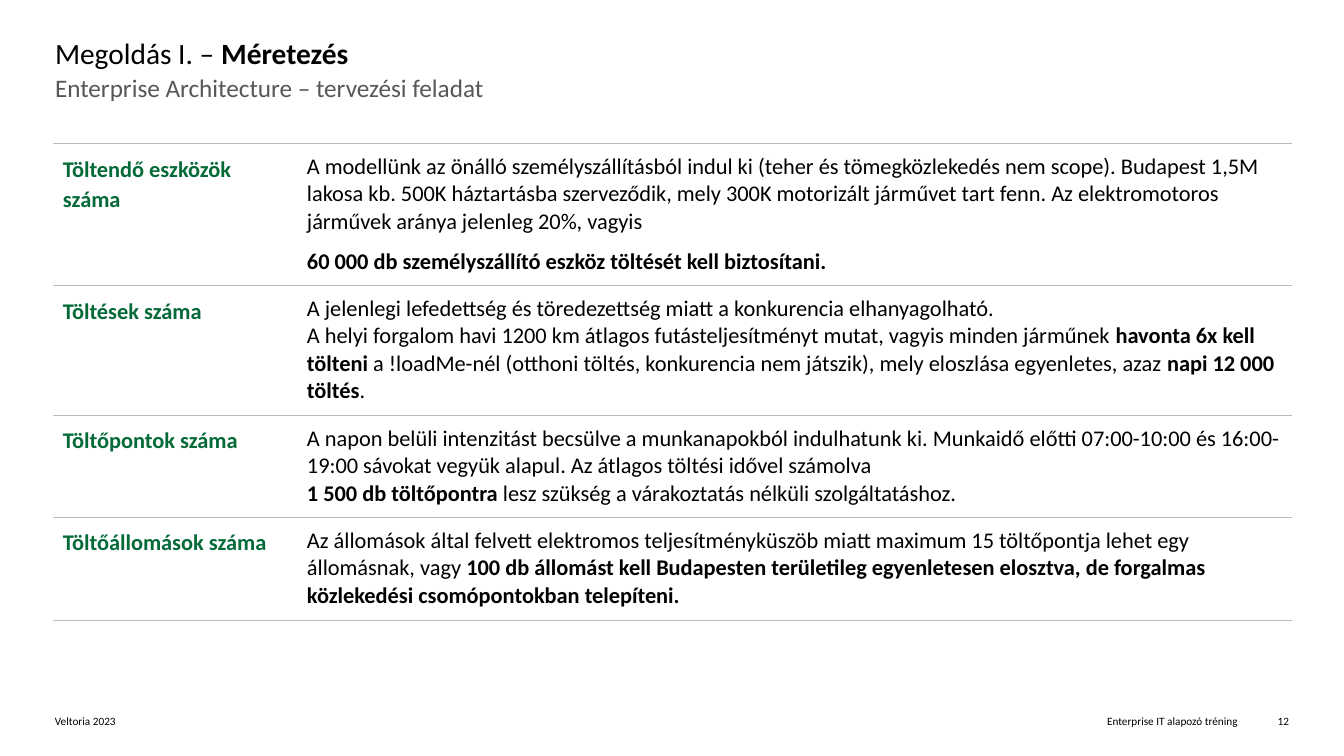
from lxml import etree
from pptx import Presentation
from pptx.dml.color import RGBColor
from pptx.enum.text import MSO_ANCHOR, PP_ALIGN
from pptx.oxml.ns import qn
from pptx.util import Emu, Pt

LEFT, RIGHT = PP_ALIGN.LEFT, PP_ALIGN.RIGHT
TOP = MSO_ANCHOR.TOP
BLACK = RGBColor(0x00, 0x00, 0x00)
GREY = RGBColor(0x57, 0x57, 0x57)
GREEN = RGBColor(0x04, 0x6A, 0x38)
RULE = RGBColor(0xBB, 0xBC, 0xBC)
FONT = "Calibri"
PX_PER_INCH = 100.8
BOLD_MARK = "**"

COLUMN_WIDTHS = [244, 995]
SIZING_ROWS = [
    (142, "Töltendő eszközök száma", [
        "A modellünk az önálló személyszállításból indul ki (teher és tömegközlekedés nem scope). "
        "Budapest 1,5M lakosa kb. 500K háztartásba szerveződik, mely 300K motorizált járművet tart fenn. "
        "Az elektromotoros járművek aránya jelenleg 20%, vagyis",
        "**60 000 db személyszállító eszköz töltését kell biztosítani.**",
    ], True),
    (130, "Töltések száma", [
        "A jelenlegi lefedettség és töredezettség miatt a konkurencia elhanyagolható.",
        "A helyi forgalom havi 1200 km átlagos futásteljesítményt mutat, vagyis minden járműnek "
        "**havonta 6x kell tölteni** a !loadMe-nél (otthoni töltés, konkurencia nem játszik), "
        "mely eloszlása egyenletes, azaz **napi 12 000 töltés**.",
    ], False),
    (102, "Töltőpontok száma", [
        "A napon belüli intenzitást becsülve a munkanapokból indulhatunk ki. "
        "Munkaidő előtti 07:00-10:00 és 16:00-19:00 sávokat vegyük alapul. "
        "Az átlagos töltési idővel számolva",
        "**1 500 db töltőpontra** lesz szükség a várakoztatás nélküli szolgáltatáshoz.",
    ], False),
    (103, "Töltőállomások száma", [
        "Az állomások által felvett elektromos teljesítményküszöb miatt maximum 15 töltőpontja "
        "lehet egy állomásnak, vagy **100 db állomást kell Budapesten területileg egyenletesen "
        "elosztva, de forgalmas közlekedési csomópontokban telepíteni.**",
    ], False),
]


def px(length):
    return Emu(round(length * 914400 / PX_PER_INCH))


def write_paragraph(para, text, size, color, align=LEFT):
    para.alignment = align
    para.font.name = FONT
    para.font.size = Pt(size)
    para.font.color.rgb = color
    for index, part in enumerate(text.split(BOLD_MARK)):
        if part:
            span = para.add_run()
            span.text = part
            span.font.bold = index % 2 == 1


def space_paragraph(para):
    para.space_before = Pt(3)
    para.space_after = Pt(6)


def add_text(page, left, top, width, height, text, size, color=BLACK, align=LEFT):
    box = page.shapes.add_textbox(px(left), px(top), px(width), px(height))
    frame = box.text_frame
    frame.word_wrap = True
    frame.vertical_anchor = TOP
    frame.margin_left = frame.margin_right = frame.margin_top = frame.margin_bottom = 0
    write_paragraph(frame.paragraphs[0], text, size, color, align)


def format_cell(cell):
    cell.margin_left = cell.margin_right = cell.margin_top = cell.margin_bottom = px(10)
    cell.vertical_anchor = TOP
    cell.fill.background()
    properties = cell._tc.get_or_add_tcPr()
    for index, side in enumerate(("a:lnL", "a:lnR", "a:lnT", "a:lnB")):
        line = etree.Element(qn(side), w=str(Pt(0.5)))
        if side in ("a:lnT", "a:lnB"):
            fill = etree.SubElement(line, qn("a:solidFill"))
            etree.SubElement(fill, qn("a:srgbClr"), val=str(RULE))
        else:
            etree.SubElement(line, qn("a:noFill"))
        properties.insert(index, line)


def fill_heading(cell, heading):
    format_cell(cell)
    para = cell.text_frame.paragraphs[0]
    write_paragraph(para, BOLD_MARK + heading + BOLD_MARK, 16, GREEN)
    space_paragraph(para)
    para.line_spacing = 1.1


def fill_description(cell, texts, spaced):
    format_cell(cell)
    frame = cell.text_frame
    for index, text in enumerate(texts):
        para = frame.add_paragraph() if index else frame.paragraphs[0]
        write_paragraph(para, text, 16, BLACK)
        if spaced:
            space_paragraph(para)


def add_sizing_table(page, left, top):
    height = sum(row[0] for row in SIZING_ROWS)
    table = page.shapes.add_table(
        len(SIZING_ROWS), len(COLUMN_WIDTHS),
        px(left), px(top), px(sum(COLUMN_WIDTHS)), px(height),
    ).table
    table.first_row = False
    table.horz_banding = False
    for column, width in zip(table.columns, COLUMN_WIDTHS):
        column.width = px(width)
    for row, (row_height, heading, texts, spaced) in zip(table.rows, SIZING_ROWS):
        row.height = px(row_height)
        fill_heading(row.cells[0], heading)
        fill_description(row.cells[1], texts, spaced)


def main():
    deck = Presentation()
    deck.slide_width, deck.slide_height = px(1344), px(756)
    page = deck.slides.add_slide(deck.slide_layouts[6])
    add_text(page, 55, 35, 1234, 37, "Megoldás I. – **Méretezés**", 21)
    add_text(page, 55, 72, 1234, 37, "Enterprise Architecture – tervezési feladat", 18, GREY)
    add_sizing_table(page, 53, 143)
    add_text(page, 55, 714, 539, 13, "Veltoria 2023", 8)
    add_text(page, 699, 714, 539, 13, "Enterprise IT alapozó tréning", 8, align=RIGHT)
    add_text(page, 1255, 714, 34, 13, "12", 8, align=RIGHT)
    deck.save("out.pptx")


if __name__ == "__main__":
    main()
